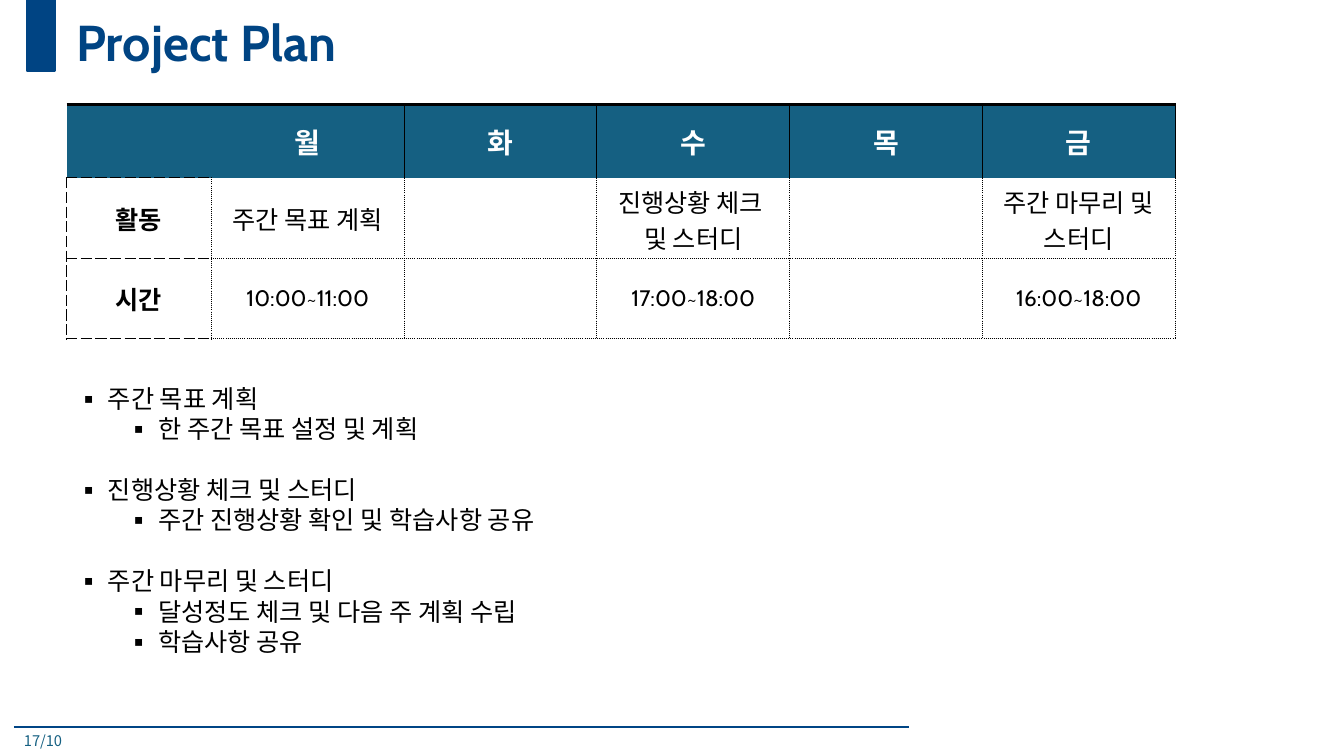
from dataclasses import dataclass

from lxml import etree
from pptx import Presentation
from pptx.dml.color import RGBColor
from pptx.enum import shapes, text
from pptx.oxml import ns
from pptx.util import Pt


@dataclass(frozen=True)
class Theme:
    navy: str = "004483"
    rule: str = "004585"
    teal: str = "156082"
    black: str = "000000"
    white: str = "FFFFFF"
    latin: str = "Cabin"
    korean: str = "Noto Sans CJK KR"
    title_size: float = 36
    header_size: float = 20
    body_size: float = 18
    time_size: float = 16
    page_size: float = 10.5
    list_pitch: float = 21.7


THEME = Theme()
SOLID, DOTTED, DASHED = "solid", "sysDot", "sysDash"

DAYS = ["", "월", "화", "수", "목", "금"]
ACTIVITIES = ["활동", "주간 목표 계획", "", "진행상황 체크 \n및 스터디", "", "주간 마무리 및 스터디"]
TIMES = ["시간", "10:00~11:00", "", "17:00~18:00", "", "16:00~18:00"]
GOALS = [
    ("주간 목표 계획", ["한 주간 목표 설정 및 계획"]),
    ("진행상황 체크 및 스터디", ["주간 진행상황 확인 및 학습사항 공유"]),
    ("주간 마무리 및 스터디", ["달성정도 체크 및 다음 주 계획 수립", "학습사항 공유"]),
]


def color(value):
    return RGBColor.from_string(value)


def write(paragraph, content, *, size=THEME.body_size, fill=THEME.black, bold=False,
          font=THEME.latin, align=None, line_spacing=None):
    """Add one formatted run to the paragraph."""
    paragraph.alignment = align
    paragraph.line_spacing = line_spacing
    run = paragraph.add_run()
    run.text = content
    run.font.name = font
    run.font.size = Pt(size)
    run.font.bold = bold
    run.font.color.rgb = color(fill)
    east_asian = etree.SubElement(run.font._element, ns.qn("a:ea"))
    east_asian.set("typeface", THEME.korean)


def add_text_frame(slide, left, top, width, height, anchor=text.MSO_ANCHOR.TOP):
    box = slide.shapes.add_textbox(Pt(left), Pt(top), Pt(width), Pt(height))
    frame = box.text_frame
    frame.word_wrap = True
    frame.vertical_anchor = anchor
    return frame


def add_rule(slide, left, right, y):
    line = slide.shapes.add_connector(
        shapes.MSO_CONNECTOR.STRAIGHT, Pt(left), Pt(y), Pt(right), Pt(y))
    line.line.color.rgb = color(THEME.rule)
    line.line.width = Pt(1.5)
    etree.SubElement(line._element.spPr, ns.qn("a:effectLst"))


def add_title_tab(slide, left, top, width, height):
    tab = slide.shapes.add_shape(
        shapes.MSO_SHAPE.RECTANGLE, Pt(left), Pt(top), Pt(width), Pt(height))
    tab.shadow.inherit = False
    tab.fill.solid()
    tab.fill.fore_color.rgb = color(THEME.navy)
    tab.line.color.rgb = color(THEME.navy)
    tab.line.width = Pt(1.5)


def set_borders(cell, borders):
    """Draw the sides given as side: (width, dash); leave the others without a line."""
    properties = cell._tc.get_or_add_tcPr()
    for side in "LRTB":
        border = etree.SubElement(properties, ns.qn("a:ln" + side))
        if side not in borders:
            etree.SubElement(border, ns.qn("a:noFill"))
            continue
        width, dash = borders[side]
        border.set("w", str(Pt(width)))
        fill = etree.SubElement(border, ns.qn("a:solidFill"))
        etree.SubElement(fill, ns.qn("a:srgbClr")).set("val", THEME.black)
        etree.SubElement(border, ns.qn("a:prstDash")).set("val", dash)


def cell_borders(row, column):
    if row == 0:
        borders = {"T": (2, SOLID)}
        if column > 0:
            borders["R"] = (1, SOLID)
        if column > 1:
            borders["L"] = (1, SOLID)
        if column == 0:
            borders["B"] = (1, DASHED)
        return borders
    if column == 0:
        return {"R": (1, DOTTED)} | {side: (1, DASHED) for side in "LTB"}
    return {side: (1, DOTTED) for side in ("LRB" if row == 1 else "LRTB")}


def cell_format(row, column):
    if row == 0:
        return {"size": THEME.header_size, "fill": THEME.white, "bold": True}
    if column == 0:
        return {"bold": True}
    return {"size": THEME.body_size if row == 1 else THEME.time_size}


def add_schedule(slide, left, top, width, label_width, row_heights):
    rows = [DAYS, ACTIVITIES, TIMES]
    frame = slide.shapes.add_table(
        len(rows), len(DAYS), Pt(left), Pt(top), Pt(width), Pt(sum(row_heights)))
    table = frame.table
    table.first_row = table.horz_banding = False
    day_width = (width - label_width) / (len(DAYS) - 1)
    for index, column in enumerate(table.columns):
        column.width = Pt(day_width if index else label_width)
    for row, contents in enumerate(rows):
        table.rows[row].height = Pt(row_heights[row])
        for column, content in enumerate(contents):
            cell = table.cell(row, column)
            set_borders(cell, cell_borders(row, column))
            cell.fill.solid()
            cell.fill.fore_color.rgb = color(THEME.white if row else THEME.teal)
            cell.vertical_anchor = text.MSO_ANCHOR.MIDDLE
            for number, line in enumerate(content.split("\n") if content else []):
                paragraphs = cell.text_frame
                paragraph = paragraphs.add_paragraph() if number else paragraphs.paragraphs[0]
                write(paragraph, line, align=text.PP_ALIGN.CENTER,
                      **cell_format(row, column))


def set_bullet(paragraph, level):
    paragraph.level = level
    properties = paragraph._p.get_or_add_pPr()
    properties.set("marL", str(Pt(22.5 + 36 * level)))
    properties.set("indent", str(Pt(-22.5)))
    etree.SubElement(properties, ns.qn("a:buFont")).set("typeface", THEME.korean)
    etree.SubElement(properties, ns.qn("a:buChar")).set("char", "▪")


def add_goals(slide, left, top, width, height):
    frame = add_text_frame(slide, left, top, width, height)
    for group, (goal, details) in enumerate(GOALS):
        for number, content in enumerate([goal, *details]):
            first = group == number == 0
            paragraph = frame.paragraphs[0] if first else frame.add_paragraph()
            write(paragraph, content, line_spacing=Pt(THEME.list_pitch))
            if group and number == 0:
                paragraph.space_before = Pt(THEME.list_pitch)
            set_bullet(paragraph, min(number, 1))


def main():
    presentation = Presentation()
    presentation.slide_width, presentation.slide_height = Pt(960), Pt(540)
    slide = presentation.slides.add_slide(presentation.slide_layouts[6])

    add_rule(slide, 10, 649.5, 519)
    page = add_text_frame(slide, 10, 519, 411, 21)
    write(page.paragraphs[0], "17/10", size=THEME.page_size, fill=THEME.teal,
          font=THEME.korean)
    add_title_tab(slide, 19.5, 0, 19.5, 51)
    title = add_text_frame(slide, 47.5, 0, 861, 64, text.MSO_ANCHOR.MIDDLE)
    write(title.paragraphs[0], "Project Plan", size=THEME.title_size, fill=THEME.navy,
          bold=True, line_spacing=0.9)
    add_schedule(slide, 47.5, 74.5, 792, 103.5, [52.5, 57.5, 57.5])
    add_goals(slide, 47.5, 270, 792, 204)

    presentation.save("out.pptx")


if __name__ == "__main__":
    main()
